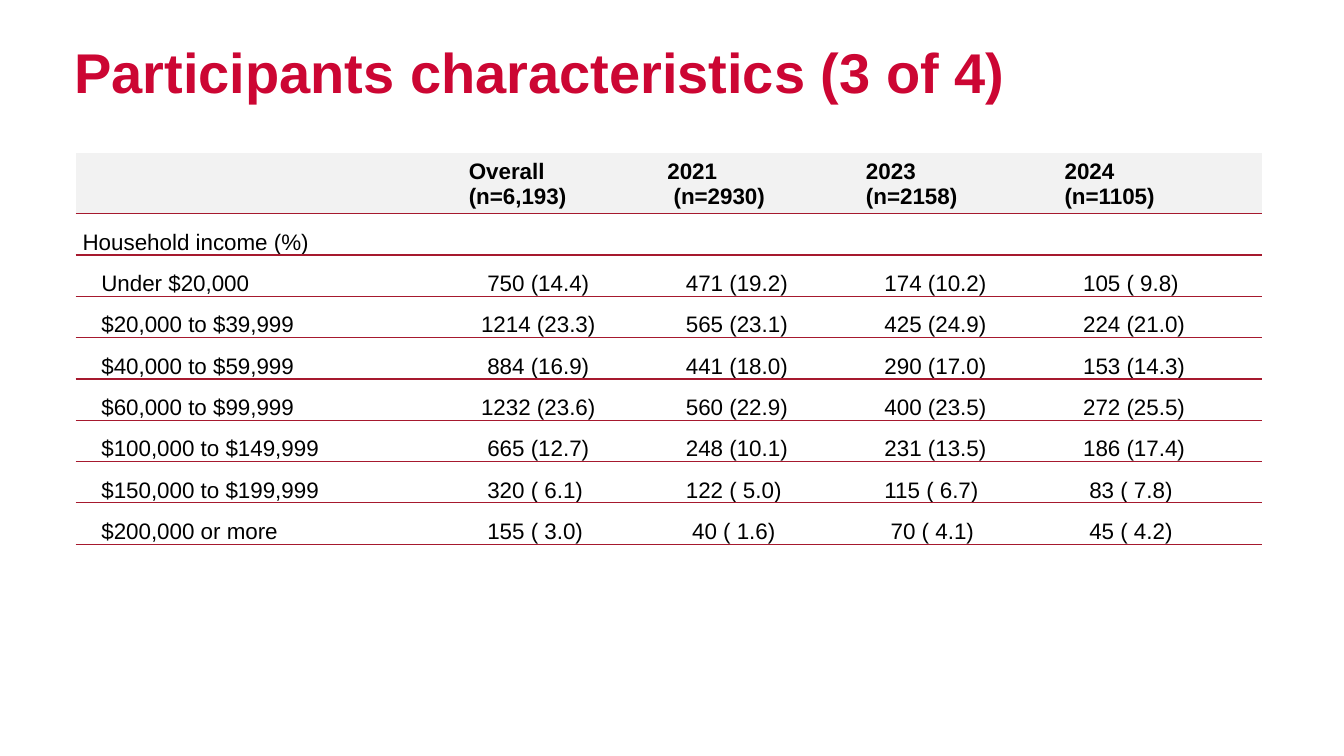
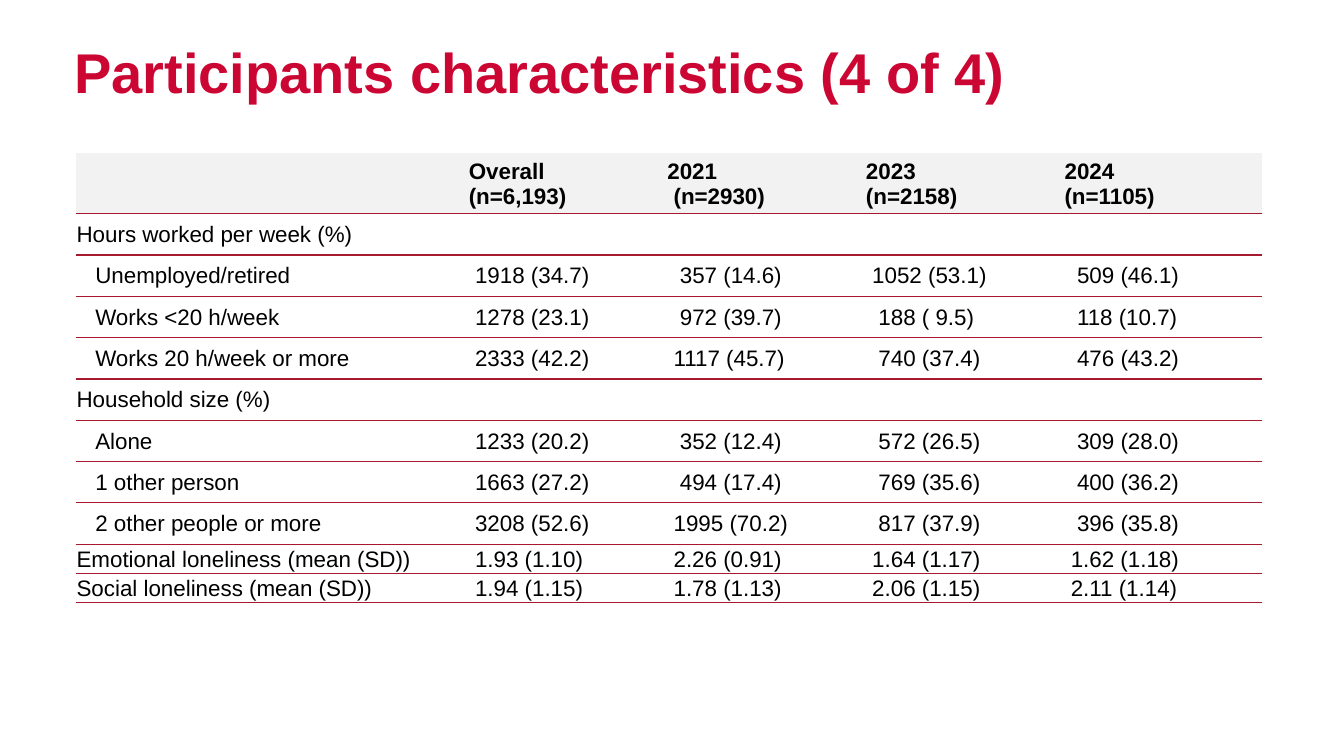
"""Builds two slides of participant characteristics tables."""
from lxml import etree
from pptx import Presentation
from pptx.dml.color import RGBColor
from pptx.enum.text import MSO_ANCHOR
from pptx.oxml.ns import qn
from pptx.util import Inches, Pt

MIDDLE, BOTTOM, TOP = MSO_ANCHOR.MIDDLE, MSO_ANCHOR.BOTTOM, MSO_ANCHOR.TOP
TITLE_RED, RULE_RED, HEADER_GREY, INK = "CC0633", "A6192E", "F2F2F2", "000000"
FONT = "Arial"
PLAIN_TABLE = "{2D5ABB26-0587-4C30-8999-92F81FD0307C}"
INDENT_STEP = Pt(4.45)
LABEL_STEPS = 3
COUNT_WIDTH = 5
COLUMN_WIDTHS = [3.89] + [1.97] * 4
HEADER_HEIGHT, ROW_HEIGHT, MEAN_HEIGHT = 0.6, 0.41, 0.29

HEADER = [
    ("Overall", "(n=6,193)", 0),
    ("2021", "(n=2930)", 1),
    ("2023", "(n=2158)", 0),
    ("2024", "(n=1105)", 0),
]
INCOME = [
    ("group", "Household income (%)", []),
    ("level", "Under $20,000", ["750 (14.4)", "471 (19.2)", "174 (10.2)", "105 ( 9.8)"]),
    ("level", "$20,000 to $39,999", ["1214 (23.3)", "565 (23.1)", "425 (24.9)", "224 (21.0)"]),
    ("level", "$40,000 to $59,999", ["884 (16.9)", "441 (18.0)", "290 (17.0)", "153 (14.3)"]),
    ("level", "$60,000 to $99,999", ["1232 (23.6)", "560 (22.9)", "400 (23.5)", "272 (25.5)"]),
    ("level", "$100,000 to $149,999", ["665 (12.7)", "248 (10.1)", "231 (13.5)", "186 (17.4)"]),
    ("level", "$150,000 to $199,999", ["320 ( 6.1)", "122 ( 5.0)", "115 ( 6.7)", "83 ( 7.8)"]),
    ("level", "$200,000 or more", ["155 ( 3.0)", "40 ( 1.6)", "70 ( 4.1)", "45 ( 4.2)"]),
]
WORK_AND_HOME = [
    ("group", "Hours worked per week (%)", []),
    ("level", "Unemployed/retired", ["1918 (34.7)", "357 (14.6)", "1052 (53.1)", "509 (46.1)"]),
    ("level", "Works <20 h/week", ["1278 (23.1)", "972 (39.7)", "188 ( 9.5)", "118 (10.7)"]),
    ("level", "Works 20 h/week or more", ["2333 (42.2)", "1117 (45.7)", "740 (37.4)", "476 (43.2)"]),
    ("group", "Household size (%)", []),
    ("level", "Alone", ["1233 (20.2)", "352 (12.4)", "572 (26.5)", "309 (28.0)"]),
    ("level", "1 other person", ["1663 (27.2)", "494 (17.4)", "769 (35.6)", "400 (36.2)"]),
    ("level", "2 other people or more", ["3208 (52.6)", "1995 (70.2)", "817 (37.9)", "396 (35.8)"]),
    ("mean", "Emotional loneliness (mean (SD))", ["1.93 (1.10)", "2.26 (0.91)", "1.64 (1.17)", "1.62 (1.18)"]),
    ("mean", "Social loneliness (mean (SD))", ["1.94 (1.15)", "1.78 (1.13)", "2.06 (1.15)", "2.11 (1.14)"]),
]
SLIDES = [
    ("Participants characteristics (3 of 4)", INCOME, BOTTOM, 0.07, 1.15, 8),
    ("Participants characteristics (4 of 4)", WORK_AND_HOME, MIDDLE, 0.01, 1.0, 0),
]


def color(hex_code):
    """Return the colour for a hex string."""
    return RGBColor.from_string(hex_code)


def write(paragraph, lines, size, ink, bold, steps=0, hanging=False):
    """Write lines into one paragraph, indented by a number of steps."""
    if steps:
        properties = paragraph._p.get_or_add_pPr()
        properties.set("marL", str(steps * INDENT_STEP))
        properties.set("indent", str(-steps * INDENT_STEP if hanging else 0))
    for number, line in enumerate(lines):
        if number:
            paragraph.add_line_break()
        run = paragraph.add_run()
        run.text = line
        run.font.name, run.font.size, run.font.bold = FONT, Pt(size), bold
        run.font.color.rgb = color(ink)


deck = Presentation()
deck.slide_width, deck.slide_height = Inches(13.33), Inches(7.5)

for heading, records, body_anchor, body_inset, spacing, after in SLIDES:
    slide = deck.slides.add_slide(deck.slide_layouts[6])

    title = slide.shapes.add_textbox(Inches(0.64), Inches(0.4), Inches(11.94), Inches(0.83)).text_frame
    title.word_wrap = True
    title.vertical_anchor = TOP
    title.paragraphs[0].line_spacing = 0.9
    write(title.paragraphs[0], [heading], 40, TITLE_RED, True)

    heights = [HEADER_HEIGHT] + [MEAN_HEIGHT if kind == "mean" else ROW_HEIGHT for kind, _, _ in records]
    table = slide.shapes.add_table(
        len(heights), len(COLUMN_WIDTHS), Inches(0.75), Inches(1.52),
        Inches(sum(COLUMN_WIDTHS)), Inches(sum(heights))).table
    table.horz_banding = False
    table._tbl.tblPr.find(qn("a:tableStyleId")).text = PLAIN_TABLE
    for column, width in zip(table.columns, COLUMN_WIDTHS):
        column.width = Inches(width)

    for row_number, (row, height) in enumerate(zip(table.rows, heights)):
        row.height = Inches(height)
        is_header = row_number == 0
        inset = 0.01 if is_header else body_inset
        for cell in row.cells:
            cell.vertical_anchor = MIDDLE if is_header else body_anchor
            cell.margin_left = cell.margin_right = Inches(inset)
            cell.margin_top = Inches(0.01 if inset == 0.01 else 0)
            cell.margin_bottom = 0
            rule = etree.SubElement(cell._tc.get_or_add_tcPr(), qn("a:lnB"), w=str(Pt(1)))
            rule_fill = etree.SubElement(rule, qn("a:solidFill"))
            etree.SubElement(rule_fill, qn("a:srgbClr"), val=RULE_RED)
            if is_header:
                cell.fill.solid()
                cell.fill.fore_color.rgb = color(HEADER_GREY)
            else:
                cell.fill.background()
                cell.text_frame.paragraphs[0].line_spacing = spacing
                cell.text_frame.paragraphs[0].space_after = Pt(after)

    for column_number, (wave, sample, steps) in enumerate(HEADER, 1):
        paragraph = table.cell(0, column_number).text_frame.paragraphs[0]
        write(paragraph, [wave, sample], 16, INK, True, steps, hanging=True)

    for row_number, (kind, label, values) in enumerate(records, 1):
        label_steps = LABEL_STEPS if kind == "level" else 0
        write(table.cell(row_number, 0).text_frame.paragraphs[0], [label], 16, INK, False, label_steps)
        for column_number, value in enumerate(values, 1):
            paragraph = table.cell(row_number, column_number).text_frame.paragraphs[0]
            steps = COUNT_WIDTH - len(value.split()[0])
            write(paragraph, [value], 16, INK, False, steps)

deck.save("out.pptx")
